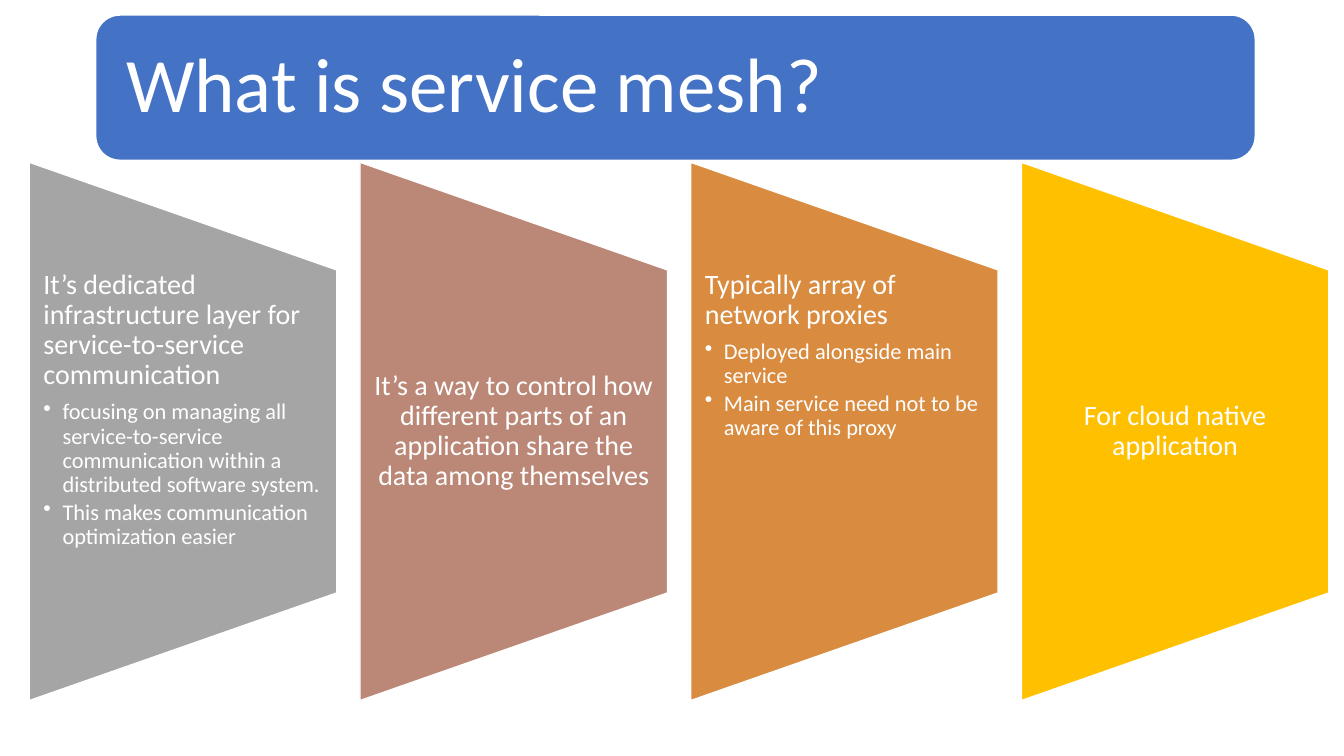
from dataclasses import dataclass

from lxml import etree
from pptx import Presentation
from pptx import util as u
from pptx.dml import color
from pptx.enum import shapes, text
from pptx.oxml import ns


@dataclass(frozen=True)
class Theme:
    font: str = "Calibri"
    white: str = "FFFFFF"
    banner: str = "4472C4"
    title_size: int = 55
    lead_size: int = 20
    bullet_size: int = 16
    line_spacing: float = 0.9
    lead_gap: float = 0.35
    bullet_gap: float = 0.15


@dataclass(frozen=True)
class Box:
    left: float
    top: float
    width: float
    height: float

    def inches(self):
        return [u.Inches(n) for n in (self.left, self.top, self.width, self.height)]


THEME = Theme()

CARDS = [
    ("A5A5A5", "It’s dedicated infrastructure layer for service-to-service communication",
     ["focusing on managing all service-to-service communication within a "
      "distributed software system.",
      "This makes communication optimization easier"]),
    ("BB8776", "It’s a way to control how different parts of an application share "
     "the data among themselves", []),
    ("D98B3F", "Typically array of network proxies",
     ["Deployed alongside main service",
      "Main service need not to be aware of this proxy"]),
    ("FFC000", "For cloud native application", []),
]


def add_panel(slide, kind, box, fill):
    panel = slide.shapes.add_shape(kind, *box.inches())
    panel.shadow.inherit = False
    panel.fill.solid()
    panel.fill.fore_color.rgb = color.RGBColor.from_string(fill)
    panel.line.color.rgb = color.RGBColor.from_string(THEME.white)
    panel.line.width = u.Pt(1)
    return panel


def format_frame(frame, anchor, side, vertical):
    frame.word_wrap = True
    frame.auto_size = text.MSO_AUTO_SIZE.NONE
    frame.vertical_anchor = anchor
    frame.margin_left = frame.margin_right = u.Inches(side)
    frame.margin_top = frame.margin_bottom = u.Inches(vertical)


def format_paragraph(para, size, align, gap=0):
    para.alignment = align
    para.line_spacing = THEME.line_spacing
    para.space_before = u.Pt(0)
    para.space_after = u.Pt(size * gap)
    para.font.name = THEME.font
    para.font.size = u.Pt(size)
    para.font.color.rgb = color.RGBColor.from_string(THEME.white)


def add_bullet(para):
    para.level = 1
    properties = para._p.get_or_add_pPr()
    indent = u.Inches(0.19)
    properties.set("marL", str(indent))
    properties.set("indent", str(-indent))
    etree.SubElement(properties, ns.qn("a:buChar")).set("char", "•")


def build_banner(slide, box, heading):
    panel = add_panel(slide, shapes.MSO_SHAPE.ROUNDED_RECTANGLE, box, THEME.banner)
    title = slide.shapes.title
    inset = 0.07
    title.left, title.top, title.width, title.height = Box(
        box.left + inset, box.top + inset,
        box.width - 2 * inset, box.height - 2 * inset).inches()
    panel._element.addnext(title._element)
    title.text_frame.text = heading
    format_frame(title.text_frame, text.MSO_ANCHOR.MIDDLE, 0.23, 0.23)
    format_paragraph(title.text_frame.paragraphs[0], THEME.title_size, text.PP_ALIGN.LEFT)


def build_card(slide, box, fill, lead, bullets):
    unrotated = Box(box.left + (box.width - box.height) / 2,
                    box.top + (box.height - box.width) / 2, box.height, box.width)
    panel = add_panel(slide, shapes.MSO_SHAPE.FLOWCHART_MANUAL_OPERATION, unrotated, fill)
    panel.rotation = 270

    label_height = box.height * 0.6
    label = Box(box.left, box.top + (box.height - label_height) / 2, box.width, label_height)
    frame = slide.shapes.add_textbox(*label.inches()).text_frame
    anchor = text.MSO_ANCHOR.TOP if bullets else text.MSO_ANCHOR.MIDDLE
    align = text.PP_ALIGN.LEFT if bullets else text.PP_ALIGN.CENTER
    format_frame(frame, anchor, 0.14, 0)
    frame.text = lead
    format_paragraph(frame.paragraphs[0], THEME.lead_size, align, THEME.lead_gap)
    for bullet in bullets:
        para = frame.add_paragraph()
        para.text = bullet
        add_bullet(para)
        format_paragraph(para, THEME.bullet_size, align, THEME.bullet_gap)


def build_cards(slide, box, gap):
    width = (box.width - gap * (len(CARDS) - 1)) / len(CARDS)
    for index, card in enumerate(CARDS):
        left = box.left + index * (width + gap)
        build_card(slide, Box(left, box.top, width, box.height), *card)


def main():
    deck = Presentation()
    deck.slide_width, deck.slide_height = u.Inches(13.33), u.Inches(7.5)
    slide = deck.slides.add_slide(deck.slide_layouts[5])
    build_banner(slide, Box(0.95, 0.15, 11.5, 1.44), "What is service mesh?")
    build_cards(slide, Box(0.29, 1.61, 12.89, 5.34), 0.23)
    deck.save("out.pptx")


if __name__ == "__main__":
    main()
